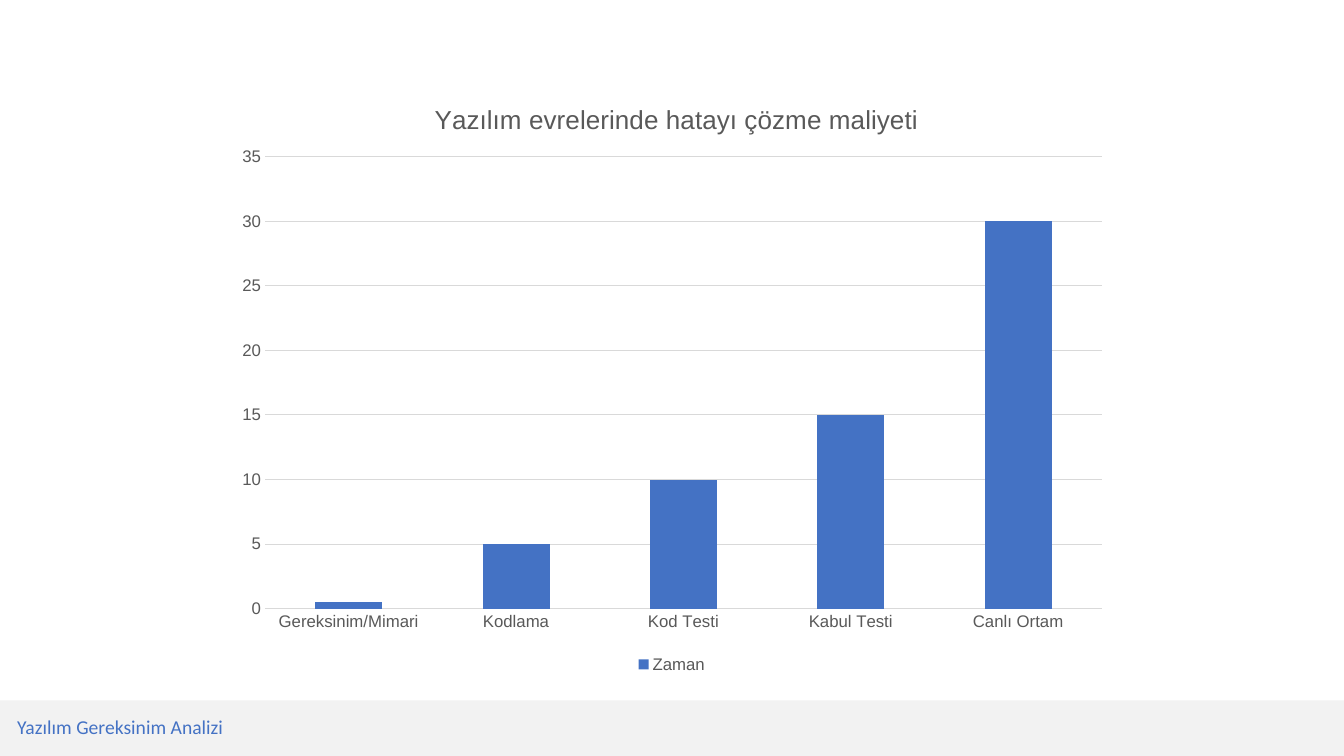
from lxml import etree
from pptx import Presentation, util as u
from pptx.chart.data import CategoryChartData
from pptx.dml.color import RGBColor
from pptx.enum import chart as ch, shapes, text
from pptx.oxml.ns import qn

BLUE, GRAY, GRID, BAND = "4472C4", "595959", "D9D9D9", "F2F2F2"
COSTS = {"Gereksinim/Mimari": 0.5, "Kodlama": 5, "Kod Testi": 10,
         "Kabul Testi": 15, "Canlı Ortam": 30}


def color(target, value):
    target.rgb = RGBColor.from_string(value)


def fill(obj, value):
    obj.fill.solid()
    color(obj.fill.fore_color, value)


def put(obj, **values):
    for name, value in values.items():
        setattr(obj, name, value)


def font(f, name, size, value):
    put(f, name=name, size=u.Pt(size), bold=False)
    color(f.color, value)


def line(fmt, value):
    fmt.line.width = u.Pt(0.75)
    color(fmt.line.color, value)


def place(parent, **values):
    for old in parent.findall(qn("c:layout")):
        parent.remove(old)
    layout = etree.Element(qn("c:layout"))
    manual = etree.SubElement(layout, qn("c:manualLayout"))
    for name, value in values.items():
        etree.SubElement(manual, qn("c:" + name)).set("val", str(value))
    tx = parent.find(qn("c:tx"))
    parent.insert(0 if tx is None else parent.index(tx) + 1, layout)


def footer(s, left, top, width, height):
    band = s.shapes.add_shape(shapes.MSO_SHAPE.RECTANGLE, left, top, width, height)
    band.shadow.inherit = False
    fill(band, BAND)
    band.line.fill.background()
    sp = s.placeholders[1]
    put(sp, left=left + u.Cm(0.18), top=top + u.Cm(0.15),
        width=u.Cm(14.33), height=u.Cm(0.94))
    s.shapes._spTree.append(sp._element)
    tf = sp.text_frame
    put(tf, text="Yazılım Gereksinim Analizi", word_wrap=True,
        vertical_anchor=text.MSO_ANCHOR.BOTTOM)
    p = tf.paragraphs[0]
    put(p, line_spacing=0.9, space_before=u.Pt(0), alignment=text.PP_ALIGN.LEFT)
    font(p.runs[0].font, "Calibri", 14, BLUE)


def cost_chart(s, left, top, width, height):
    data = CategoryChartData()
    data.categories = list(COSTS)
    data.add_series("Zaman", COSTS.values())
    chart = s.shapes.add_chart(ch.XL_CHART_TYPE.COLUMN_STACKED,
                               left, top, width, height, data).chart
    font(chart.font, "Arial", 12, GRAY)

    tf = chart.chart_title.text_frame
    tf.text = "Yazılım evrelerinde hatayı çözme maliyeti"
    font(tf.paragraphs[0].runs[0].font, "Arial", 18.6, GRAY)
    chart.chart_title.include_in_layout = False
    place(chart.chart_title._element, xMode="edge", yMode="edge", x=0.23, y=0.03)

    plot = chart.plots[0]
    put(plot, gap_width=150, overlap=100, vary_by_categories=False)
    fill(plot.series[0].format, BLUE)
    place(chart._chartSpace.chart.plotArea, layoutTarget="inner", xMode="edge",
          yMode="edge", x=0.046, y=0.129, w=0.934, h=0.756)

    for axis in (chart.category_axis, chart.value_axis):
        put(axis, major_tick_mark=ch.XL_TICK_MARK.NONE,
            minor_tick_mark=ch.XL_TICK_MARK.NONE)
        font(axis.tick_labels.font, "Arial", 12, GRAY)
    line(chart.category_axis.format, GRID)
    put(chart.value_axis, minimum_scale=0, maximum_scale=35, major_unit=5,
        has_major_gridlines=True)
    chart.value_axis.format.line.fill.background()
    line(chart.value_axis.major_gridlines.format, GRID)

    chart.has_legend = True
    put(chart.legend, position=ch.XL_LEGEND_POSITION.BOTTOM, include_in_layout=False)
    font(chart.legend.font, "Arial", 12, GRAY)


prs = Presentation()
put(prs, slide_width=u.Cm(33.87), slide_height=u.Cm(19.05))
s = prs.slides.add_slide(prs.slide_layouts[2])
title = s.shapes.title._element
title.getparent().remove(title)
footer(s, 0, u.Cm(17.65), prs.slide_width, u.Cm(1.4))
cost_chart(s, u.Cm(5.64), u.Cm(2.01), u.Cm(22.58), u.Cm(15.06))
prs.save("out.pptx")
